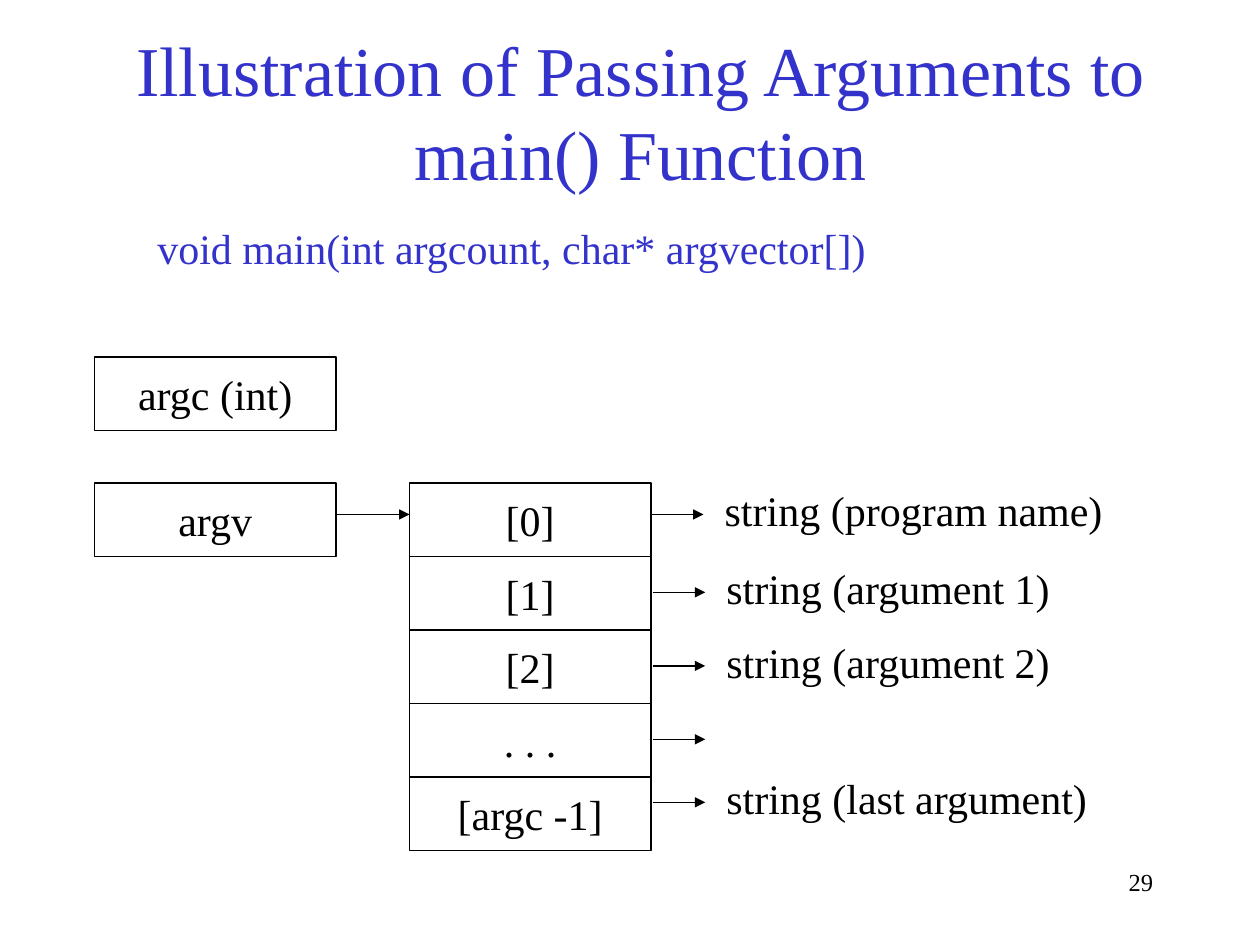
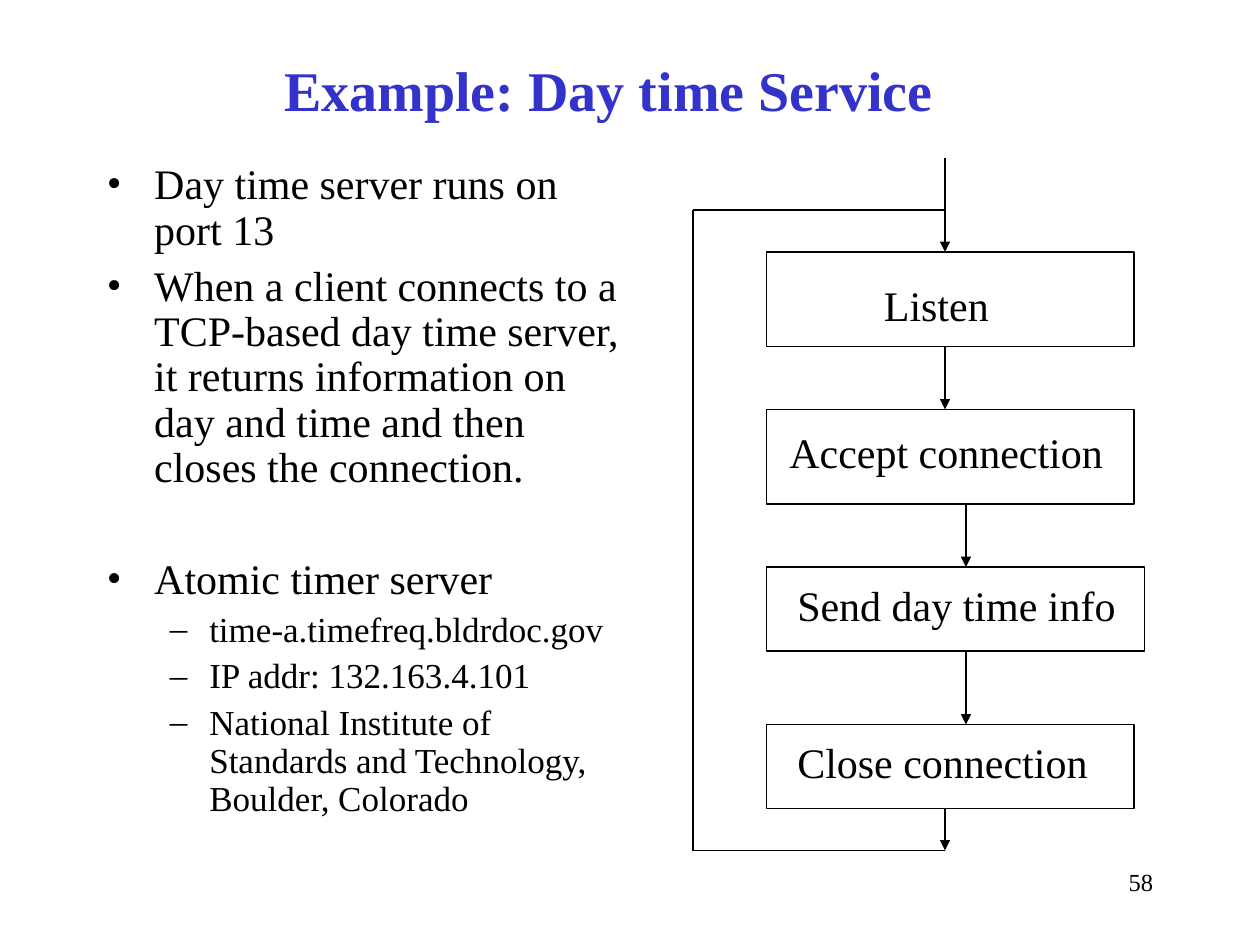
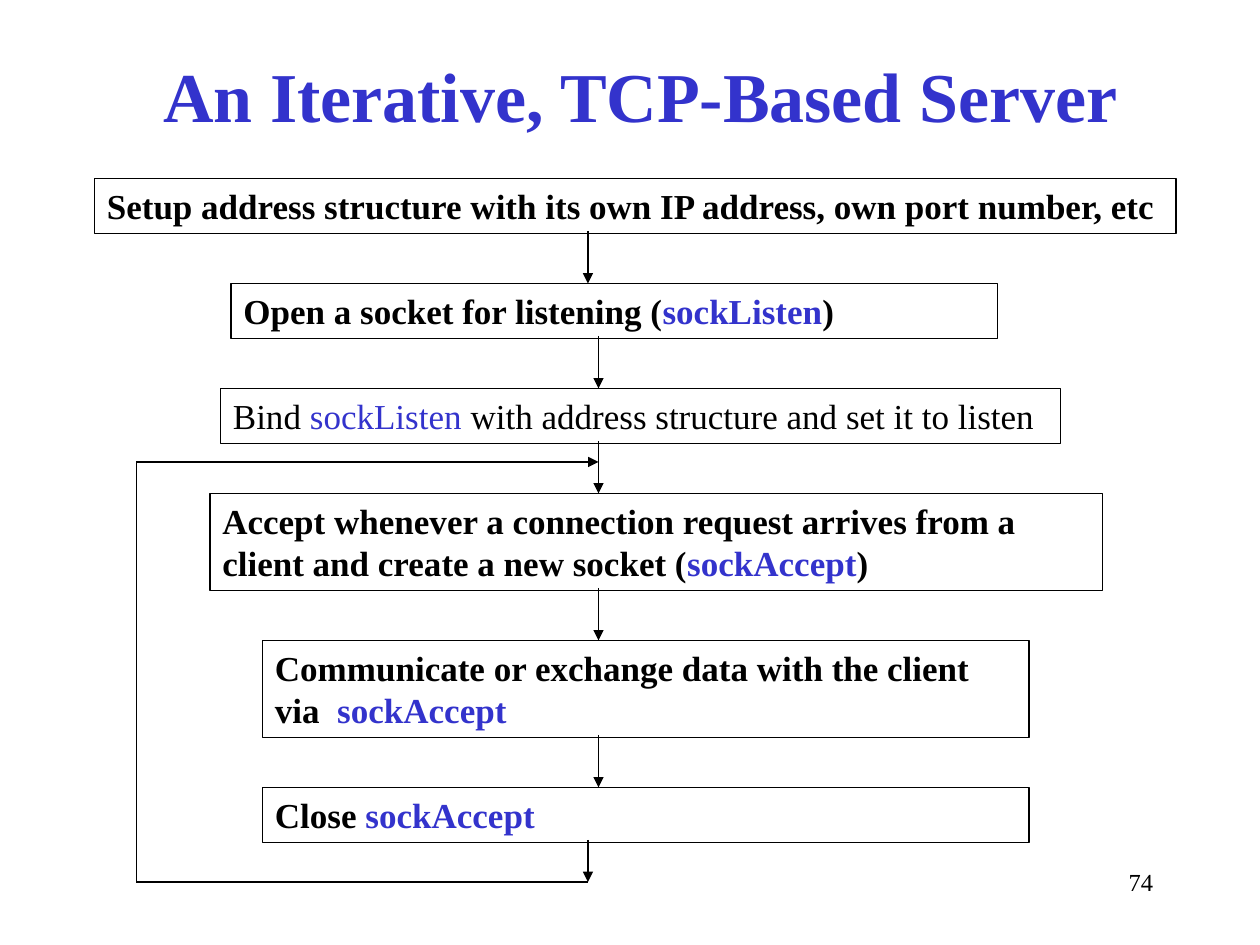
from pptx import Presentation
from pptx.dml.color import RGBColor
from pptx.enum.shapes import MSO_CONNECTOR, MSO_SHAPE
from pptx.enum.text import MSO_ANCHOR, PP_ALIGN
from pptx.oxml.ns import qn
from pptx.util import Pt
from lxml.etree import SubElement

BLUE = "3333CC"
BLACK = "000000"
WHITE = "FFFFFF"
FONT = "Times New Roman"
THIN = 0.75
hue = RGBColor.from_string


def write(page, spot, text, size=24, color=BLACK, bold=False, align=PP_ALIGN.LEFT,
          mid=False, box=False, fill=None, gap=0):
    spot = [Pt(n) for n in spot]
    if box:
        shape = page.shapes.add_shape(MSO_SHAPE.RECTANGLE, *spot)
        shape.shadow.inherit = False
        shape.line.color.rgb = hue(BLACK)
        shape.line.width = Pt(THIN)
        if fill:
            shape.fill.solid()
            shape.fill.fore_color.rgb = hue(fill)
        else:
            shape.fill.background()
    else:
        shape = page.shapes.add_textbox(*spot)
    frame = shape.text_frame
    frame.word_wrap = True
    frame.vertical_anchor = MSO_ANCHOR.MIDDLE if mid else MSO_ANCHOR.TOP
    for row, words in enumerate(text.split("\n")):
        para = frame.paragraphs[0] if row == 0 else frame.add_paragraph()
        para.alignment = align
        para.space_before = Pt(gap)
        for turn, part in enumerate(words.split("|")):
            if part:
                run = para.add_run()
                run.text = part
                run.font.name = FONT
                run.font.size = Pt(size)
                run.font.bold = bold
                run.font.color.rgb = hue(BLUE if turn % 2 else color)
    return frame


def link(page, *ends, head=True):
    line = page.shapes.add_connector(MSO_CONNECTOR.STRAIGHT, *[Pt(n) for n in ends])
    line.line.color.rgb = hue(BLACK)
    line.line.width = Pt(THIN)
    if head:
        SubElement(line.line._get_or_add_ln(), qn("a:tailEnd"), type="triangle")
    SubElement(line._element.spPr, qn("a:effectLst"))


deck = Presentation()
deck.slide_width = Pt(720)
deck.slide_height = Pt(540)

pages = []
for title, spot, size, bold, number in [
    ("Illustration of Passing Arguments to main() Function", (36, 12, 660, 102), 40, False, "29"),
    ("Example: Day time Service", (42, 30, 612, 42), 32, True, "58"),
    ("An Iterative, TCP-Based Server", (60, 18, 612, 72), 40, True, "74"),
]:
    page = deck.slides.add_slide(deck.slide_layouts[6])
    write(page, (516, 492, 150, 36), number, size=14, align=PP_ALIGN.RIGHT)
    write(page, spot, title, size=size, color=BLUE, bold=bold, align=PP_ALIGN.CENTER, mid=True)
    pages.append(page)
args, day, server = pages

cells = [("argc (int)", 54, 204), ("argv", 54, 276)]
for row, label in enumerate(["[0]", "[1]", "[2]", ". . .", "[argc -1]"]):
    cells.append((label, 234, 276 + 42 * row))
for label, left, top in cells:
    write(args, (left, top, 138, 42), label, align=PP_ALIGN.CENTER, mid=True, box=True, fill=WHITE)

link(args, 192, 294, 234, 294)
for label, left, y, width in [
    ("string (program name)", 372, 294, 240),
    ("string (argument 1)", 373, 338.5, 210),
    ("string (argument 2)", 373, 380.5, 210),
    ("", 373, 422.5, 0),
    ("string (last argument)", 373, 458.5, 230),
]:
    link(args, left, y, left + 30, y)
    if label:
        write(args, (left + 35, y - 20.5, width, 36), label)

code = write(args, (46.8, 123.4, 472, 70), "void main(int argcount, char* argvector[])",
             color=BLUE, gap=6)
code.paragraphs[0]._p.get_or_add_pPr().set("marL", str(Pt(36)))

body = write(day, (54, 90, 312, 390),
             "Day time server runs on port 13\n"
             "When a client connects to a TCP-based day time server, it returns "
             "information on day and time and then closes the connection.\n"
             "Atomic timer server\n"
             "time-a.timefreq.bldrdoc.gov\n"
             "IP addr: 132.163.4.101\n"
             "National Institute of Standards and Technology, Boulder, Colorado", gap=6)
for row, para in enumerate(body.paragraphs):
    sub = row > 2
    para.line_spacing = 0.9
    props = para._p.get_or_add_pPr()
    props.set("marL", str(Pt(58.5 if sub else 27)))
    props.set("indent", str(Pt(-22.5 if sub else -27)))
    SubElement(props, qn("a:buFont"), typeface=FONT)
    SubElement(props, qn("a:buChar"), char="–" if sub else "•")
    if sub:
        para.level = 1
        para.space_before = Pt(5)
        para.runs[0].font.size = Pt(20)
body.paragraphs[2].space_before = Pt(38)

for label, top, width, height, left, y, span in [
    ("Listen", 144, 210, 54, 498, 156, 90),
    ("Accept connection", 234, 210, 54, 444, 240, 204),
    ("Send day time info", 324, 216, 48, 448.5, 327.5, 229),
    ("Close connection", 414, 210, 48, 448.5, 417.5, 195),
]:
    write(day, (438, top, width, height), "", box=True)
    write(day, (left, y, span, 36), label, gap=6)

for x, top, end in [(540, 90, 144), (540, 198, 234), (552, 288, 324),
                    (552, 372, 414), (540, 462, 486)]:
    link(day, x, top, x, end)
link(day, 540, 486, 396, 486, head=False)
link(day, 396, 486, 396, 120, head=False)
link(day, 396, 120, 540, 120, head=False)

top = 102
for step, (text, left, width, tall) in enumerate([
    ("Setup address structure with its own IP address, own port number, etc", 54, 618, False),
    ("Open a socket for listening (|sockListen|)", 132, 438, False),
    ("Bind |sockListen| with address structure and set it to listen", 126, 480, False),
    ("Accept whenever a connection request arrives from a client and create a new socket "
     "(|sockAccept|)", 120, 510, True),
    ("Communicate or exchange data with the client via  |sockAccept", 150, 438, True),
    ("Close |sockAccept", 150, 438, False),
]):
    write(server, (left, top, width, 55.5 if tall else 31.5), text,
          size=20, bold=step != 2, box=True, gap=12.5)
    x = 336 if step in (0, 5) else 342
    start = top + (54 if tall else 30)
    top = start + 30
    link(server, x, start, x, 504 if step == 5 else top)

link(server, 336, 504, 78, 504, head=False)
link(server, 78, 504, 78, 264, head=False)
link(server, 78, 264, 342, 264)

deck.save("out.pptx")
